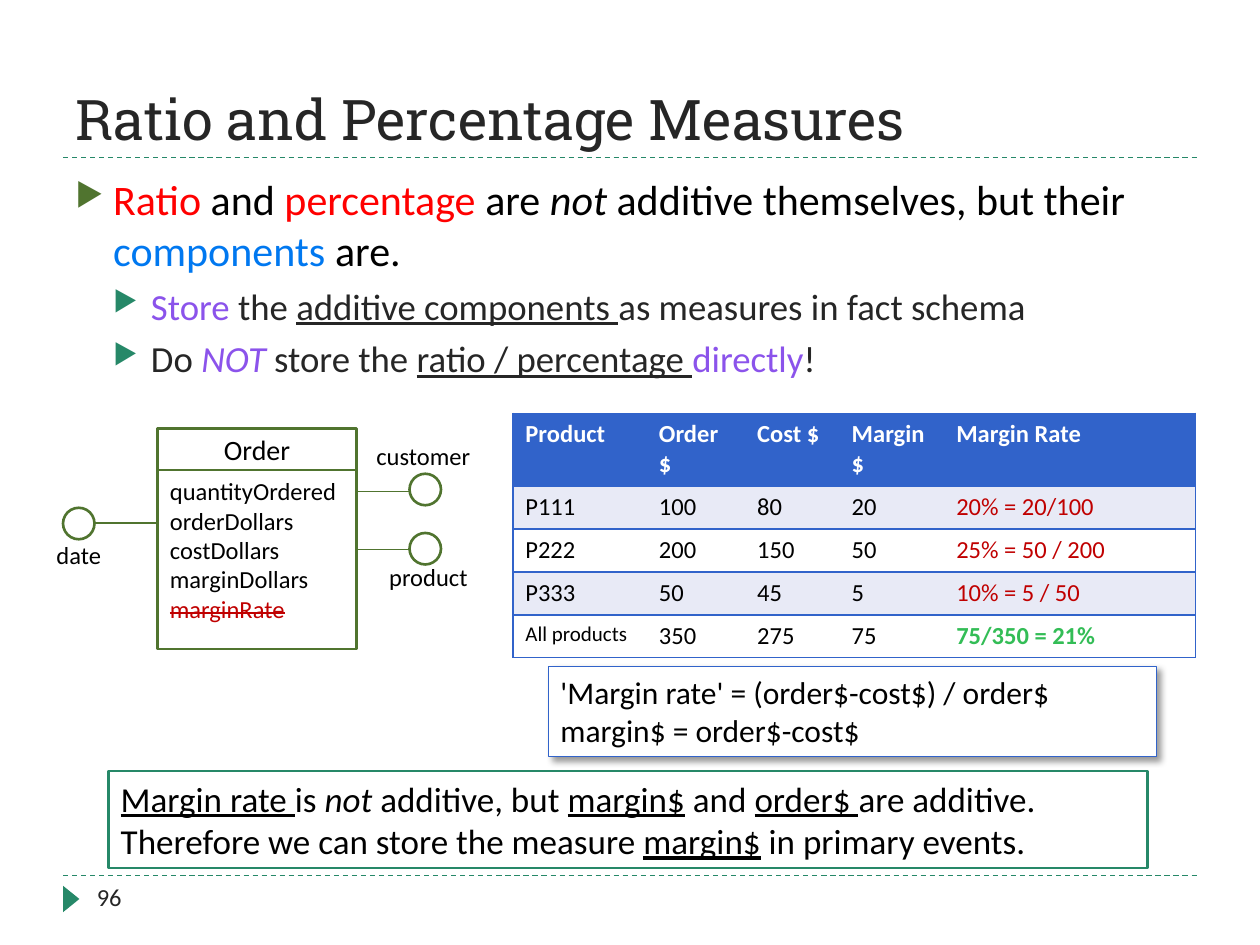
from lxml import etree
from pptx import Presentation, util as u
from pptx.dml.color import RGBColor
from pptx.enum import dml, shapes, text
from pptx.oxml import ns

PX = 9144  # EMU per px, 100 px to the inch
BLACK, DARK, WHITE, RED = "000000", "262626", "FFFFFF", "C00000"
GREEN, TEAL, BLUE, PURPLE = "50742F", "268868", "3163CA", "8B53EB"
ITALIC, UNDERLINE = {"italic": True}, {"underline": True}


def px(*lengths):
    return [u.Emu(length * PX) for length in lengths]


def rgb(value):
    return RGBColor.from_string(value)


def add_xml(parent, tag, **attributes):
    element = etree.SubElement(parent, ns.qn(tag))
    for name, value in attributes.items():
        element.set(name, str(value))
    return element


def add_color(parent, tag, color):
    return add_xml(add_xml(parent, tag), "a:srgbClr", val=color)


def write(paragraph, content, size=14, color=BLACK, font="Calibri", bold=False, italic=False,
          underline=False, strike=False, align=None):
    """Write a string, or a list of strings and (string, format) pairs; "\\n" breaks the line."""
    if align:
        paragraph.alignment = align
    base = dict(size=size, color=color, font=font, bold=bold, italic=italic,
                underline=underline, strike=strike)
    for part in [content] if isinstance(content, str) else content:
        if part == "\n":
            paragraph.add_line_break()
            continue
        words, changes = (part, {}) if isinstance(part, str) else part
        style = {**base, **changes}
        run = paragraph.add_run()
        run.text = words
        run.font.size, run.font.name = u.Pt(style["size"]), style["font"]
        run.font.bold, run.font.italic = style["bold"], style["italic"]
        run.font.underline = style["underline"]
        run.font.color.rgb = rgb(style["color"])
        if style["strike"]:
            run.font._element.set("strike", "sngStrike")


def add_text(slide, box, content, anchor=text.MSO_ANCHOR.TOP, **style):
    frame = slide.shapes.add_textbox(*px(*box)).text_frame
    frame.word_wrap, frame.vertical_anchor = True, anchor
    write(frame.paragraphs[0], content, **style)


def add_shape(slide, kind, box, fill=WHITE, line=None, width=1.5):
    shape = slide.shapes.add_shape(kind, *px(*box))
    shape.shadow.inherit = False
    shape.fill.solid()
    shape.fill.fore_color.rgb = rgb(fill)
    if line:
        shape.line.color.rgb, shape.line.width = rgb(line), u.Pt(width)
    else:
        shape.line.fill.background()
    return shape


def add_panel(slide, box, paragraphs, line, width=1.5, anchor=text.MSO_ANCHOR.TOP,
              align=text.PP_ALIGN.LEFT, **style):
    """Outlined white rectangle with text."""
    shape = add_shape(slide, shapes.MSO_SHAPE.RECTANGLE, box, line=line, width=width)
    frame = shape.text_frame
    frame.word_wrap, frame.vertical_anchor = True, anchor
    for index, content in enumerate(paragraphs):
        paragraph = frame.add_paragraph() if index else frame.paragraphs[0]
        write(paragraph, content, align=align, **style)
    return shape


def add_line(slide, x1, y1, x2, y2, color, dash=None):
    line = slide.shapes.add_connector(shapes.MSO_CONNECTOR.STRAIGHT, *px(x1, y1, x2, y2))
    line.line.color.rgb, line.line.width = rgb(color), u.Pt(0.75)
    if dash:
        line.line.dash_style = dash
    add_xml(line._element.spPr, "a:effectLst")


def add_frame(slide, left, width, title, number):
    for y in (695, 125):
        add_line(slide, left, y, left + width, y, TEAL, dml.MSO_LINE.DASH)
    marker = add_shape(slide, shapes.MSO_SHAPE.ISOSCELES_TRIANGLE, (left - 4, 707, 21, 13), TEAL)
    marker.rotation = 90
    add_text(slide, (left, 17, width, 108), title, text.MSO_ANCHOR.BOTTOM,
             size=32, font="Roboto Slab", color=DARK)
    add_text(slide, (left + 17, 695, 217, 40), number, color=DARK)


def add_bullets(slide, box, bullets):
    """Add (level, content) bullets."""
    frame = slide.shapes.add_textbox(*px(*box)).text_frame
    frame.word_wrap = True
    levels = [dict(size=24, color=BLACK), dict(size=21, color=DARK)]
    for index, (level, content) in enumerate(bullets):
        paragraph = frame.add_paragraph() if index else frame.paragraphs[0]
        paragraph.level = level
        if index:
            paragraph.space_before = u.Pt(5)
        properties = paragraph._p.get_or_add_pPr()
        properties.set("marL", str(30 * (level + 1) * PX))
        properties.set("indent", str(-30 * PX))
        add_color(properties, "a:buClr", (GREEN, TEAL)[level])
        add_xml(properties, "a:buSzPct", val=76000)
        add_xml(properties, "a:buChar", char="▶")
        write(paragraph, content, **levels[level])


def set_borders(cell, sides):
    """Draw the given sides (of L, R, T, B) and clear the others."""
    properties = cell._tc.get_or_add_tcPr()
    for index, side in enumerate("LRTB"):
        border = etree.Element(ns.qn(f"a:ln{side}"), w=str(u.Pt(1)))
        if side in sides:
            add_color(border, "a:solidFill", BLUE)
        else:
            add_xml(border, "a:noFill")
        properties.insert(index, border)


def add_margin_table(slide, left, top, rows):
    widths, heights = (106, 78, 75, 83, 200), (58, 34, 34, 34, 34)
    table = slide.shapes.add_table(len(heights), len(widths),
                                   *px(left, top, sum(widths), sum(heights))).table
    for column, width in zip(table.columns, widths):
        column.width = px(width)[0]
    last = len(widths) - 1
    for r, (row, values) in enumerate(zip(table.rows, rows)):
        row.height = px(heights[r])[0]
        for c, value in enumerate(values):
            cell = table.cell(r, c)
            cell.fill.solid()
            cell.fill.fore_color.rgb = rgb(BLUE if r == 0 else "E8EAF6" if r % 2 else WHITE)
            set_borders(cell, "TB" + ("L" if c == 0 else "R" if c == last else ""))
            style = dict(color=RED if c == last else BLACK)
            if r == 0:
                style = dict(color=WHITE, bold=True)
            write(cell.text_frame.paragraphs[0], [value], **style)


def add_fact_schema(slide, left, top):
    """Order fact with its measures and three dimensions."""
    center = text.PP_ALIGN.CENTER
    fact_left, fact_right, radius = left + 100, left + 258, 12
    dimensions = [  # name, circle left, circle top, line ends, line y, label box
        ("date", 25, 63, (42, 100), 75, (0, 84, 75, 34)),
        ("customer", 300, 36, (258, 300), 50, (261, 5, 100, 34)),
        ("product", 300, 83, (258, 300), 96, (269, 101, 92, 34)),
    ]
    for name, x, y, (start, end), line_y, (label_x, label_y, width, height) in dimensions:
        add_line(slide, left + start, top + line_y, left + end, top + line_y, GREEN)
        add_shape(slide, shapes.MSO_SHAPE.OVAL, (left + x, top + y, 25, 25), line=GREEN)
        add_text(slide, (left + label_x, top + label_y, width, height), name, align=center)
    width = fact_right - fact_left
    add_panel(slide, (fact_left, top, width, 33), ["Order"], GREEN, size=16,
              anchor=text.MSO_ANCHOR.MIDDLE, align=center)
    measures = ["quantityOrdered", "orderDollars", "costDollars", "marginDollars",
                [("marginRate", dict(color=RED, strike=True))]]
    add_panel(slide, (fact_left, top + 33, width, 142), measures, GREEN)


def add_formula(slide, box):
    shape = add_panel(slide, box, [["'Margin rate' = (order$-cost$) / order$ ", "\n",
                                    "margin$ = order$-cost$"]], BLUE, 0.5, size=18)
    effects = shape._element.spPr.find(ns.qn("a:effectLst"))
    shadow = add_xml(effects, "a:outerShdw", blurRad=u.Pt(4), dist=u.Pt(3), dir=45 * 60000,
                     algn="tl", rotWithShape=0)
    add_xml(add_xml(shadow, "a:srgbClr", val=BLACK), "a:alpha", val=40000)


def main():
    presentation = Presentation()
    presentation.slide_width, presentation.slide_height = px(1000, 750)
    slide = presentation.slides.add_slide(presentation.slide_layouts[6])
    purple, red = dict(color=PURPLE), dict(color="FF0000")

    add_frame(slide, 50, 900, "Ratio and Percentage Measures", "96")
    add_bullets(slide, (50, 133, 900, 208), [
        (0, [("Ratio", red), " and ", ("percentage", red), " are ", ("not", ITALIC),
             " additive themselves, but their ", ("components", dict(color="0078F0")), " are."]),
        (1, [("Store", purple), " the ", ("additive components ", UNDERLINE),
             "as measures in fact schema"]),
        (1, ["Do ", ("NOT", {**purple, **ITALIC}), " store the ",
             ("ratio / percentage ", UNDERLINE), ("directly", purple), "!"]),
    ])
    add_margin_table(slide, 407, 328, [
        ["Product", "Order $", "Cost $", "Margin $", "Margin Rate"],
        ["P111", "100", "80", "20", "20% = 20/100"],
        ["P222", "200", "150", "50", "25% = 50 / 200"],
        ["P333", "50", "45", "5", "10% = 5 / 50"],
        [("All products", dict(size=12)), "350", "275", "75",
         ("75/350 = 21%", dict(color="33BD56", bold=True))],
    ])
    add_formula(slide, (435, 529, 483, 71))
    add_fact_schema(slide, 25, 340)
    add_panel(slide, (86, 612, 825, 77), [[
        ("Margin rate ", UNDERLINE), "is ", ("not", ITALIC), " additive, but ",
        ("margin$", UNDERLINE), " and ", ("order$ ", UNDERLINE),
        "are additive. Therefore we can store the measure ", ("margin$", UNDERLINE),
        " in primary events."]], TEAL, size=20)
    presentation.save("out.pptx")


if __name__ == "__main__":
    main()
